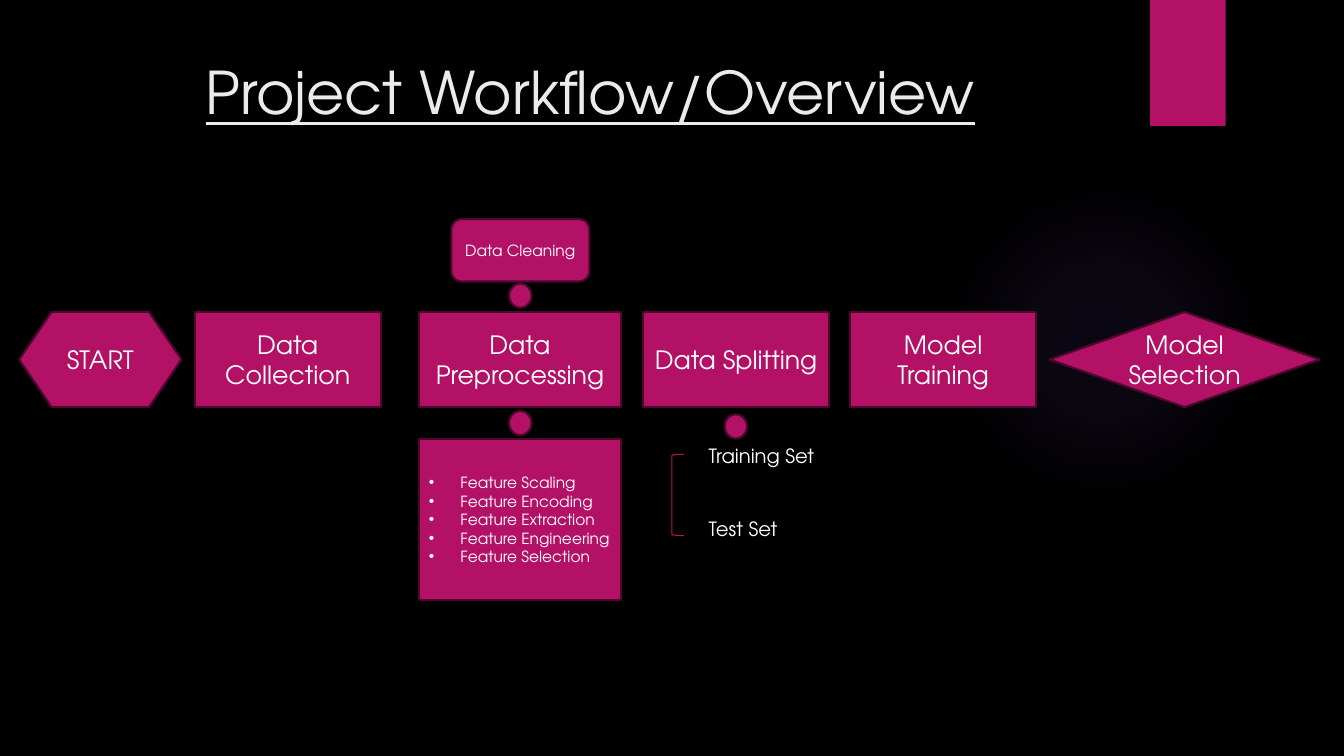
from lxml import etree
from pptx import Presentation
from pptx.dml.color import RGBColor
from pptx.enum.shapes import MSO_SHAPE
from pptx.enum.text import MSO_ANCHOR, MSO_AUTO_SIZE, PP_ALIGN
from pptx.oxml import parse_xml
from pptx.util import Pt

PROCESS = MSO_SHAPE.FLOWCHART_PROCESS
PREP = MSO_SHAPE.FLOWCHART_PREPARATION
CHOICE = MSO_SHAPE.FLOWCHART_DECISION
ROUND = MSO_SHAPE.FLOWCHART_ALTERNATE_PROCESS
DOT = MSO_SHAPE.FLOWCHART_CONNECTOR
BRACKET = MSO_SHAPE.LEFT_BRACKET
OVAL = MSO_SHAPE.OVAL
RECT = MSO_SHAPE.RECTANGLE
LEFT, CENTER = PP_ALIGN.LEFT, PP_ALIGN.CENTER
TOP, MIDDLE = MSO_ANCHOR.TOP, MSO_ANCHOR.MIDDLE
FIXED = MSO_AUTO_SIZE.NONE

FONT = "TeX Gyre Adventor"
NS = "http://schemas.openxmlformats.org/drawingml/2006/main"
COLORS = {
    "back": "000000",
    "pink": "B31166",
    "edge": "4E072D",
    "title": "EBEBEB",
    "text": "FFFFFF",
    "glow": "9B6BF2",
}
HUES = {name: RGBColor.from_string(code) for name, code in COLORS.items()}

deck = Presentation()
deck.slide_width, deck.slide_height = Pt(960), Pt(540)
slide = deck.slides.add_slide(deck.slide_layouts[5])
slide.background.fill.solid()
slide.background.fill.fore_color.rgb = HUES["back"]


def block(kind, x, y, w, h, edge="edge"):
    shape = slide.shapes.add_shape(kind, Pt(x), Pt(y), Pt(w), Pt(h))
    shape.shadow.inherit = False
    shape.fill.solid()
    shape.fill.fore_color.rgb = HUES["pink"]
    if edge:
        shape.line.color.rgb = HUES[edge]
        shape.line.width = Pt(1.5)
    else:
        shape.line.fill.background()
    return shape


def write(shape, lines, size, align=CENTER, anchor=MIDDLE, hue="text"):
    frame = shape.text_frame
    frame.word_wrap = True
    frame.auto_size = FIXED
    frame.vertical_anchor = anchor
    for i, line in enumerate(lines):
        para = frame.add_paragraph() if i else frame.paragraphs[0]
        para.alignment = align
        run = para.add_run()
        run.text = line
        run.font.name = FONT
        run.font.size = Pt(size)
        run.font.color.rgb = HUES[hue]
    return frame


glow = block(OVAL, 677.5, 131.8, 221.8, 221.8, None)
stops = "".join(
    f'<a:gs pos="{pos}000"><a:srgbClr val="{COLORS["glow"]}">'
    f'<a:alpha val="{alpha}000"/></a:srgbClr></a:gs>'
    for pos, alpha in [(0, 7), (36, 6), (69, 0)]
)
fade = parse_xml(
    f'<a:gradFill xmlns:a="{NS}"><a:gsLst>{stops}</a:gsLst><a:path path="circle">'
    '<a:fillToRect l="50000" t="50000" r="50000" b="50000"/></a:path></a:gradFill>'
)
solid = glow.element.spPr.find(f"{{{NS}}}solidFill")
solid.getparent().replace(solid, fade)

block(RECT, 821.5, 0, 54, 90, None)

title = slide.shapes.title
title.left, title.top = Pt(51), Pt(36)
title.width, title.height = Pt(741), Pt(110)
head = write(title, ["Project Workflow/Overview"], 42, anchor=TOP, hue="title")
head.paragraphs[0].runs[0].font.underline = True

steps = [
    (CHOICE, 749.8, 192.8, "Model Selection"),
    (PREP, 13.7, 115.9, "START"),
    (PROCESS, 139, 133, "Data Collection"),
    (PROCESS, 299.2, 144.3, "Data Preprocessing"),
    (PROCESS, 459.3, 133, "Data Splitting"),
    (PROCESS, 607.2, 133, "Model Training"),
]
for kind, x, w, label in steps:
    write(block(kind, x, 222.8, w, 68), [label], 18)

tasks = [f"Feature {task}" for task in
         ("Scaling", "Encoding", "Extraction", "Engineering", "Selection")]
frame = write(block(PROCESS, 299.2, 313.6, 144.3, 115), tasks, 11, LEFT)
for para in frame.paragraphs:
    props = para._p.get_or_add_pPr()
    props.set("marL", str(Pt(22.5)))
    props.set("indent", str(Pt(-22.5)))
    etree.SubElement(props, f"{{{NS}}}buFont", typeface="Arial")
    etree.SubElement(props, f"{{{NS}}}buChar", char="•")

write(block(ROUND, 322.4, 156.5, 98.6, 44.6), ["Data Cleaning"], 11)

for x, y in [(363.7, 293.6), (363.7, 202.6), (517.6, 296)]:
    block(DOT, x, y, 16, 17.2)

brace = block(BRACKET, 480, 324.6, 8.6, 58, "pink")
brace.fill.background()
brace.line.width = Pt(0.75)

for y, label in [(313.6, "Training Set"), (365.8, "Test Set")]:
    box = slide.shapes.add_textbox(Pt(499), Pt(y), Pt(93), Pt(24.3))
    write(box, [label], 14, LEFT, TOP)

deck.save("out.pptx")
